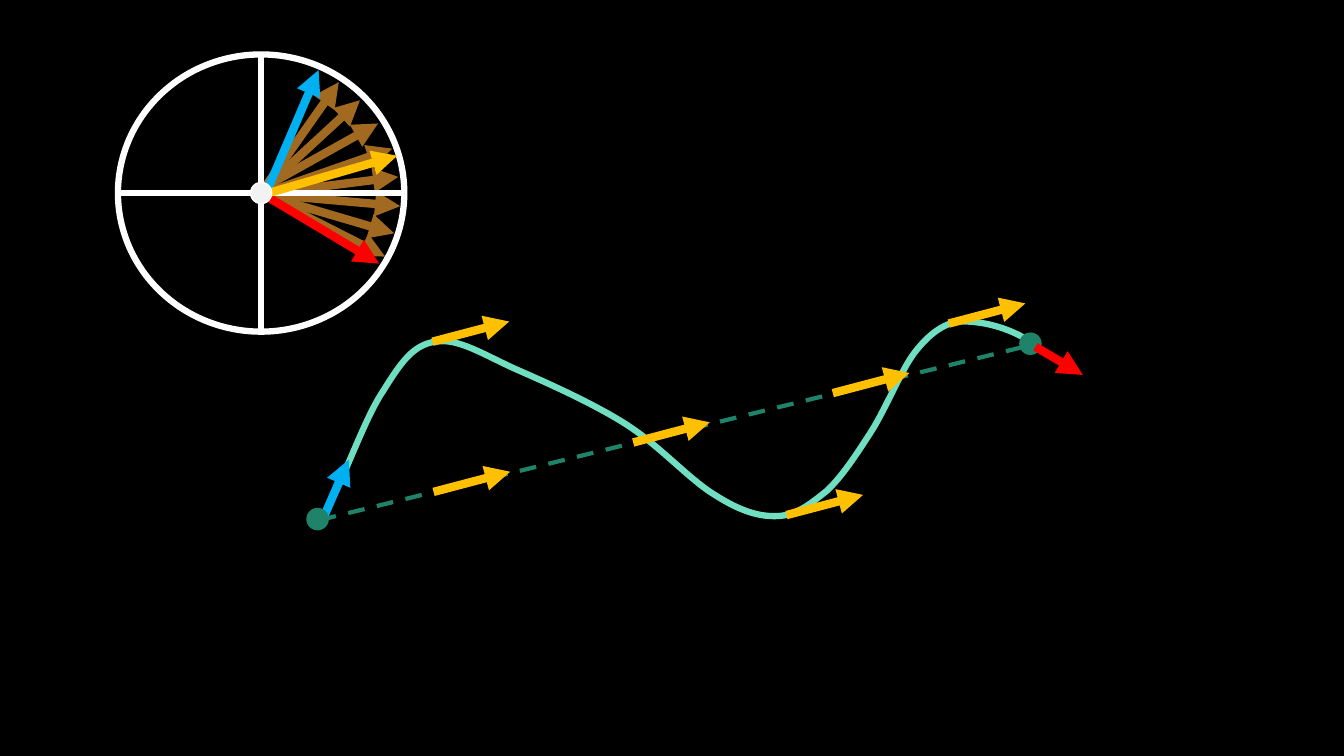
from lxml import etree
from pptx import Presentation
from pptx.dml.color import RGBColor
from pptx.enum.dml import MSO_LINE
from pptx.enum.shapes import MSO_CONNECTOR, MSO_SHAPE
from pptx.oxml.ns import qn
from pptx.util import Inches, Pt

STRAIGHT = MSO_CONNECTOR.STRAIGHT
OVAL = MSO_SHAPE.OVAL
DASH = MSO_LINE.DASH

CELL = Inches(0.1)
DOT = 2.1
DIAL_BOX = (11.7, 5.4, 28.4, 27.5)
TRAJECTORY_BOX = (30, 30, 78, 22)

BLACK, WHITE, PALE_GREY = "000000", "FFFFFF", "F2F2F2"
BROWN, BLUE, RED, YELLOW = "A26921", "00B0F0", "FF0000", "FFC000"
MINT, GREEN = "70DEC1", "1F8369"

SWEEP_ARROWS = [
    ((0.1, 0.1), (12.3, 6.3)),
    ((-0.1, 0.1), (7.7, -11)),
    ((0.7, -0.8), (9.8, -9.2)),
    ((0.7, -0.8), (11.6, -6.9)),
    ((0.1, 0.1), (13, -4.4)),
    ((0.1, 0.1), (13.6, -1.6)),
    ((0.2, 0.1), (13.8, 1.3)),
    ((-0.1, 0.1), (13.2, 4)),
]
MAIN_ARROWS = [
    (BLUE, (0.7, -0.5), (5.7, -12.2)),
    (RED, (0.5, 0.3), (11.7, 7)),
    (YELLOW, (-0.3, 0.3), (13.5, -3.7)),
]
CURVE_START = (2.2, 20.9)
CURVE_SEGMENTS = [
    ((4, 17.9), (6.1, 11.6), (8, 8.8)),
    ((9.8, 5.9), (11, 4.2), (13.2, 3.9)),
    ((15.4, 3.5), (18, 5.2), (21.1, 6.6)),
    ((24.3, 8), (28.8, 10), (32.1, 12.1)),
    ((35.4, 14.2), (38.4, 17.6), (40.9, 19.1)),
    ((43.4, 20.7), (45.3, 21.3), (47.2, 21.2)),
    ((49, 21.1), (50.4, 20), (52, 18.7)),
    ((53.5, 17.3), (54.8, 15.3), (56.3, 13)),
    ((57.8, 10.7), (59.4, 6.7), (60.7, 5)),
    ((62, 3.3), (63.8, 1.7), (65.9, 1.9)),
    ((68.3, 2), (70.5, 2.8), (72.2, 3.9)),
]
CHORD_START, CHORD_END = (1.7, 21.6), (72.4, 4.2)
MEAN_VELOCITY = (7.6, -2)
CHORD_ARROW_STARTS = [(13 + 19.8 * step, 18.8 - 4.9 * step) for step in range(3)]
CURVE_ARROW_STARTS = [(12.9, 3.9), (48, 21.1), (64.1, 2.1)]


def color(hex_string):
    """Return the colour for a hex string."""
    return RGBColor.from_string(hex_string)


def shift(point, offset):
    """Return a grid point moved by an offset."""
    return point[0] + offset[0], point[1] + offset[1]


def to_length(point):
    """Return a grid point as slide lengths."""
    return tuple(round(value * CELL) for value in point)


def style_line(line, hex_string, width):
    """Set the colour and the width in points of a line."""
    line.color.rgb = color(hex_string)
    line.width = Pt(width)


def add_line(slide, start, end, hex_string, width, dash=None):
    """Draw a straight line without shadow between two grid points."""
    connector = slide.shapes.add_connector(STRAIGHT, *to_length(start), *to_length(end))
    style_line(connector.line, hex_string, width)
    if dash is not None:
        connector.line.dash_style = dash
    etree.SubElement(connector.element.spPr, qn("a:effectLst"))
    return connector


def add_arrow(slide, start, end, hex_string):
    """Draw a thick arrow between two grid points."""
    connector = add_line(slide, start, end, hex_string, 6)
    outline = connector.element.spPr.find(qn("a:ln"))
    etree.SubElement(outline, qn("a:tailEnd"), type="triangle")


def add_ellipse(slide, center, size, line_color, width, fill_color=None):
    """Draw an ellipse around a grid point."""
    corner = shift(center, (-size[0] / 2, -size[1] / 2))
    shape = slide.shapes.add_shape(OVAL, *to_length(corner), *to_length(size))
    shape.shadow.inherit = False
    if fill_color:
        shape.fill.solid()
        shape.fill.fore_color.rgb = color(fill_color)
    else:
        shape.fill.background()
    style_line(shape.line, line_color, width)


def add_curve(slide, start, segments, hex_string, width):
    """Draw an open path of cubic segments through grid points."""
    builder = slide.shapes.build_freeform(*to_length(start))
    points = [to_length(point) for segment in segments for point in segment]
    builder.add_line_segments(points, close=False)
    shape = builder.convert_to_shape()
    shape.shadow.inherit = False
    shape.fill.background()
    style_line(shape.line, hex_string, width)
    straight_steps = list(shape.element.iter(qn("a:lnTo")))
    outline = straight_steps[0].getparent()
    for first in range(0, len(straight_steps), 3):
        cubic = etree.SubElement(outline, qn("a:cubicBezTo"))
        for step in straight_steps[first:first + 3]:
            cubic.append(step[0])
            outline.remove(step)


def add_direction_dial(slide, box):
    """Draw the circle of directions with its fan of arrows."""
    left, top, width, height = box
    center = (left + width / 2, top + height / 2)
    for start, tip in SWEEP_ARROWS:
        add_arrow(slide, shift(center, start), shift(center, tip), BROWN)
    add_ellipse(slide, center, (width, height), WHITE, 4.5)
    for radius in ((0, height / 2), (width / 2, 0)):
        opposite = (-radius[0], -radius[1])
        add_line(slide, shift(center, opposite), shift(center, radius), WHITE, 4.5)
    for hex_string, start, tip in MAIN_ARROWS:
        add_arrow(slide, shift(center, start), shift(center, tip), hex_string)
    add_ellipse(slide, center, (DOT, DOT), WHITE, 1, PALE_GREY)


def add_trajectory(slide, box):
    """Draw the curved path, its chord and the velocity arrows."""
    origin = box[:2]
    segments = [[shift(origin, point) for point in segment] for segment in CURVE_SEGMENTS]
    chord_start, chord_end = shift(origin, CHORD_START), shift(origin, CHORD_END)
    add_curve(slide, shift(origin, CURVE_START), segments, MINT, 4.5)
    add_line(slide, chord_start, chord_end, GREEN, 3, DASH)
    add_arrow(slide, shift(chord_start, (0.5, -0.5)), shift(chord_start, (2.9, -6)), BLUE)
    for center in (chord_end, chord_start):
        add_ellipse(slide, shift(center, (-0.2, -0.1)), (DOT, DOT), GREEN, 1, GREEN)
    add_arrow(slide, shift(chord_end, (0.3, 0.2)), shift(chord_end, (5, 3)), RED)
    for start in CHORD_ARROW_STARTS + CURVE_ARROW_STARTS:
        tail = shift(origin, start)
        add_arrow(slide, tail, shift(tail, MEAN_VELOCITY), YELLOW)


def main():
    """Build and save the presentation."""
    presentation = Presentation()
    presentation.slide_width = Inches(13.33)
    presentation.slide_height = Inches(7.5)
    slide = presentation.slides.add_slide(presentation.slide_layouts[6])
    slide.background.fill.solid()
    slide.background.fill.fore_color.rgb = color(BLACK)
    add_trajectory(slide, TRAJECTORY_BOX)
    add_direction_dial(slide, DIAL_BOX)
    presentation.save("out.pptx")


main()
